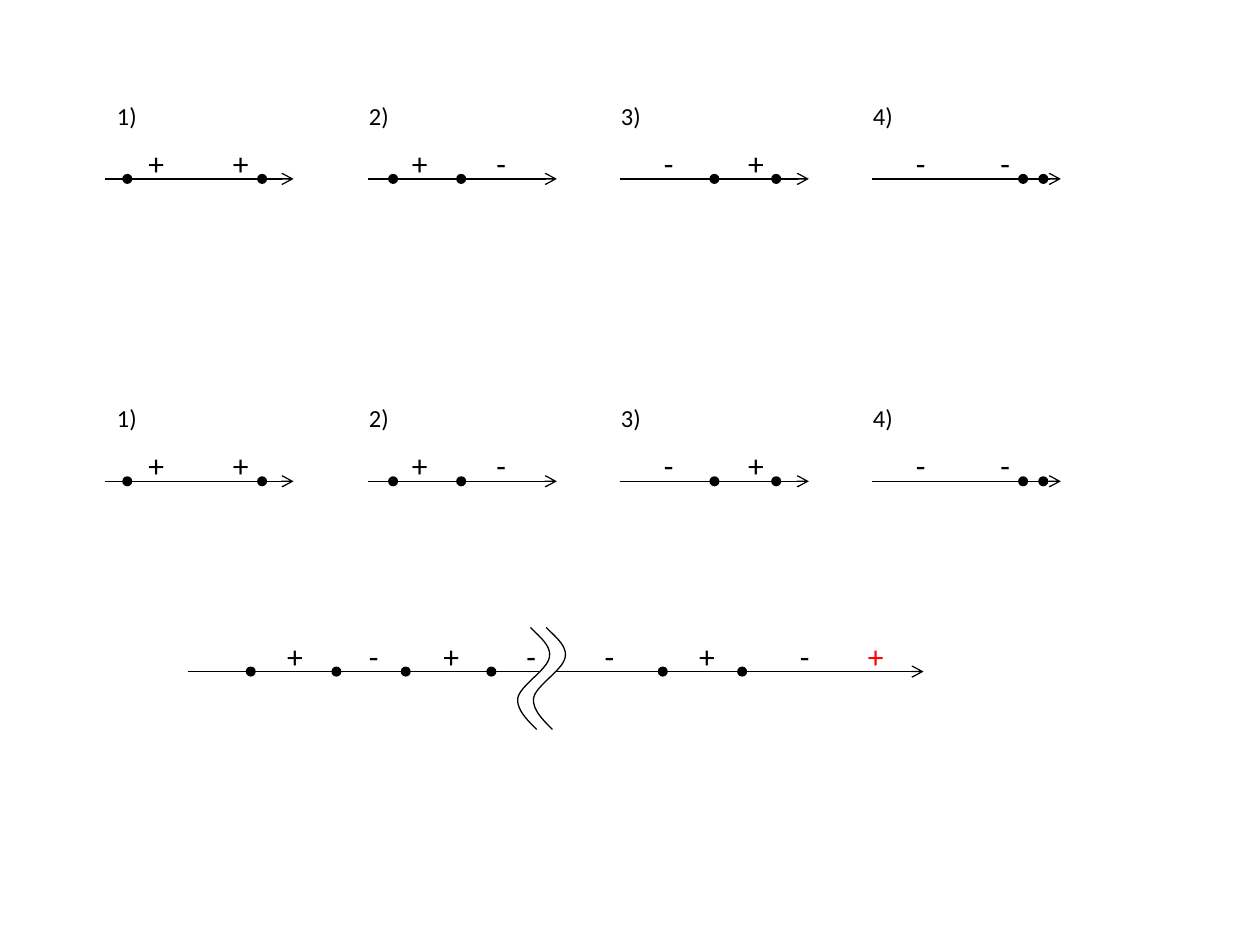
from lxml import etree
from pptx import Presentation
from pptx.dml.color import RGBColor
from pptx.enum.shapes import MSO_CONNECTOR, MSO_SHAPE
from pptx.enum.text import MSO_AUTO_SIZE
from pptx.oxml.ns import qn
from pptx.util import Inches, Pt

LINE = MSO_CONNECTOR.STRAIGHT
OVAL = MSO_SHAPE.OVAL
GROW = MSO_AUTO_SIZE.SHAPE_TO_FIT_TEXT
BLACK, RED = "000000", "FF0000"
DOT = 0.08
WIDTHS = {"+": 0.33, "-": 0.28}

# label, axis start, signs, left edges of the dots
CASES = [
    ("1)", 0.83, "++", (0.97, 2.04)),
    ("2)", 2.92, "+-", (3.08, 3.62)),
    ("3)", 4.92, "-+", (5.63, 6.12)),
    ("4)", 6.92, "--", (8.08, 8.24)),
]
ROWS = (1.42, 3.82)  # height of the axis in each row
PITCH = 2            # from one case to the next
AXIS = 1.5

LONG_Y = 5.33
LONG_DOTS = (1.95, 2.63, 3.18, 3.86, 5.22, 5.85)
LONG_SIGNS = [
    ("+", 2.18, BLACK), ("-", 2.83, BLACK), ("+", 3.42, BLACK),
    ("-", 4.08, BLACK), ("-", 4.7, BLACK), ("+", 5.45, BLACK),
    ("-", 6.25, BLACK), ("+", 6.79, RED),
]
# start point, then two controls and an end point for each curve
WAVE = [
    (4.21, 4.98),
    (4.29, 5.06), (4.38, 5.13), (4.36, 5.22),
    (4.34, 5.32), (4.13, 5.44), (4.11, 5.54),
    (4.1, 5.63), (4.18, 5.71), (4.26, 5.79),
]
WAVE_GAP = 0.125
STEPS = 16


def color(code):
    return RGBColor.from_string(code)


def put_text(text, x, y, width, height=0.4, size=18, fill=BLACK):
    box = slide.shapes.add_textbox(
        Inches(x), Inches(y), Inches(width), Inches(height))
    frame = box.text_frame
    frame.word_wrap = False
    frame.auto_size = GROW
    run = frame.paragraphs[0].add_run()
    run.text = text
    run.font.name = "Calibri"
    run.font.size = Pt(size)
    run.font.color.rgb = color(fill)


def put_line(start, end, y, arrow=True):
    line = slide.shapes.add_connector(
        LINE, Inches(start), Inches(y), Inches(end), Inches(y))
    line.line.color.rgb = color(BLACK)
    line.line.width = Pt(0.75)
    if arrow:
        etree.SubElement(line.line._get_or_add_ln(), qn("a:tailEnd"),
                         type="arrow")
    props = line._element.find(qn("p:spPr"))
    etree.SubElement(props, qn("a:effectLst"))


def put_dot(x, y):
    """Draw a dot with its left edge at x, centred on height y."""
    dot = slide.shapes.add_shape(
        OVAL, Inches(x), Inches(y - DOT / 2), Inches(DOT), Inches(DOT))
    dot.shadow.inherit = False
    dot.fill.solid()
    dot.fill.fore_color.rgb = color(BLACK)
    dot.line.fill.background()


def bend(a, b, c, d, t):
    """Return the point at t on a cubic curve."""
    u = 1 - t
    return tuple(u**3 * p + 3 * u * u * t * q + 3 * u * t * t * r + t**3 * s
                 for p, q, r, s in zip(a, b, c, d))


def put_wave(shift):
    points = [WAVE[0]]
    for i in range(0, len(WAVE) - 1, 3):
        points += [bend(*WAVE[i:i + 4], n / STEPS)
                   for n in range(1, STEPS + 1)]
    places = [(Inches(x + shift), Inches(y)) for x, y in points]
    pen = slide.shapes.build_freeform(*places[0])
    pen.add_line_segments(places[1:], close=False)
    wave = pen.convert_to_shape()
    wave.shadow.inherit = False
    wave.fill.background()
    wave.line.color.rgb = color(BLACK)
    wave.line.width = Pt(0.75)


deck = Presentation()
deck.slide_width, deck.slide_height = Inches(10), Inches(7.5)
slide = deck.slides.add_slide(deck.slide_layouts[6])

for y in ROWS:
    for col, (label, start, signs, dots) in enumerate(CASES):
        left = 0.83 + col * PITCH
        put_text(label, left, y - 0.67, 0.36, height=0.34, size=14)
        put_line(start, start + AXIS, y)
        # the signs stand a little right of the column edge
        first = 1.08 + col * PITCH + (0.09 if col else 0)
        for k, sign in enumerate(signs):
            put_text(sign, first + k * 0.67, y - 0.33, WIDTHS[sign])
        for x in dots:
            put_dot(x, y)

put_line(1.49, 4.28, LONG_Y, arrow=False)
put_line(4.41, 7.33, LONG_Y)
for x in LONG_DOTS:
    put_dot(x, LONG_Y)
for shift in (0, WAVE_GAP):
    put_wave(shift)
for sign, x, fill in LONG_SIGNS:
    put_text(sign, x, LONG_Y - 0.32, WIDTHS[sign], fill=fill)

deck.save("out.pptx")
